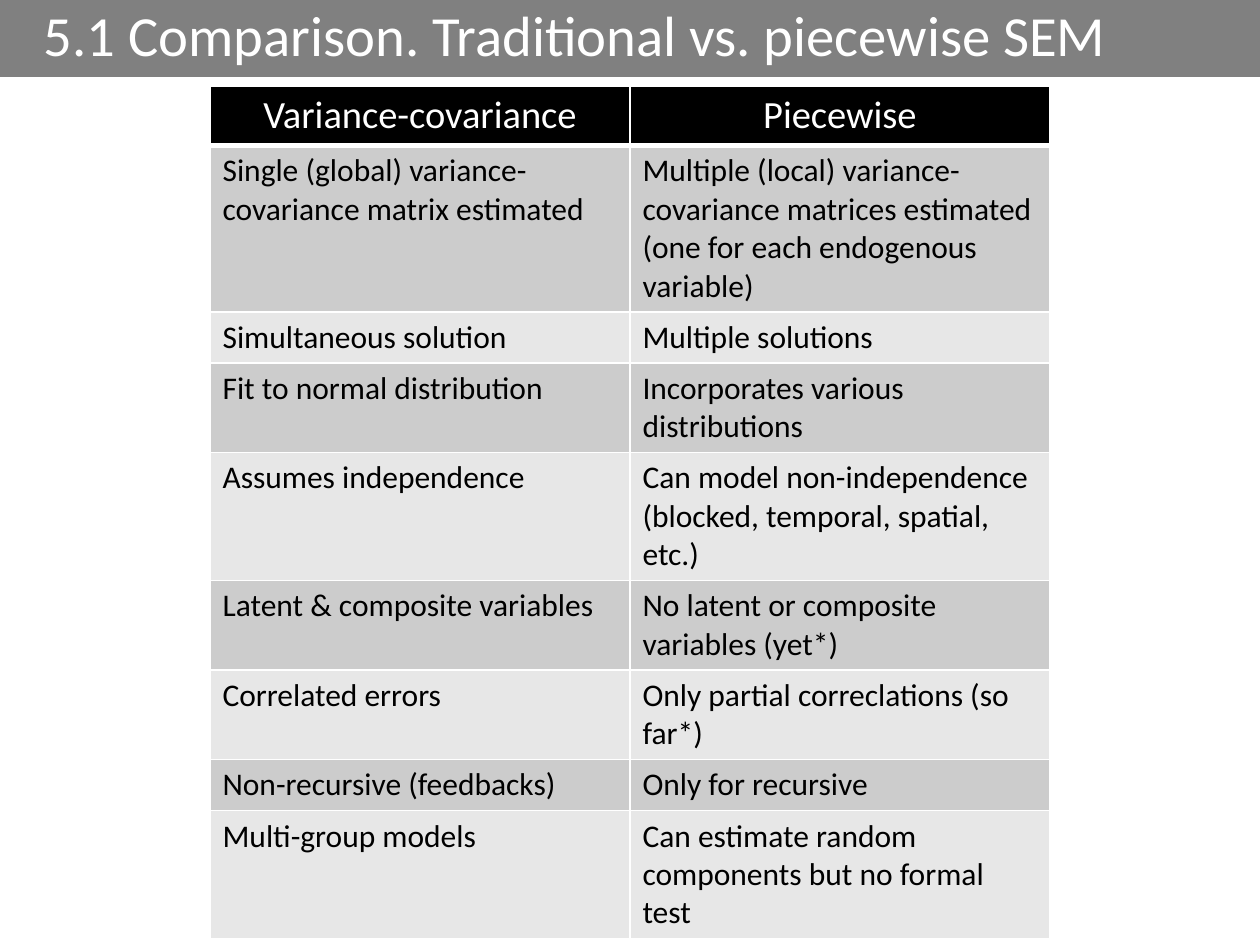
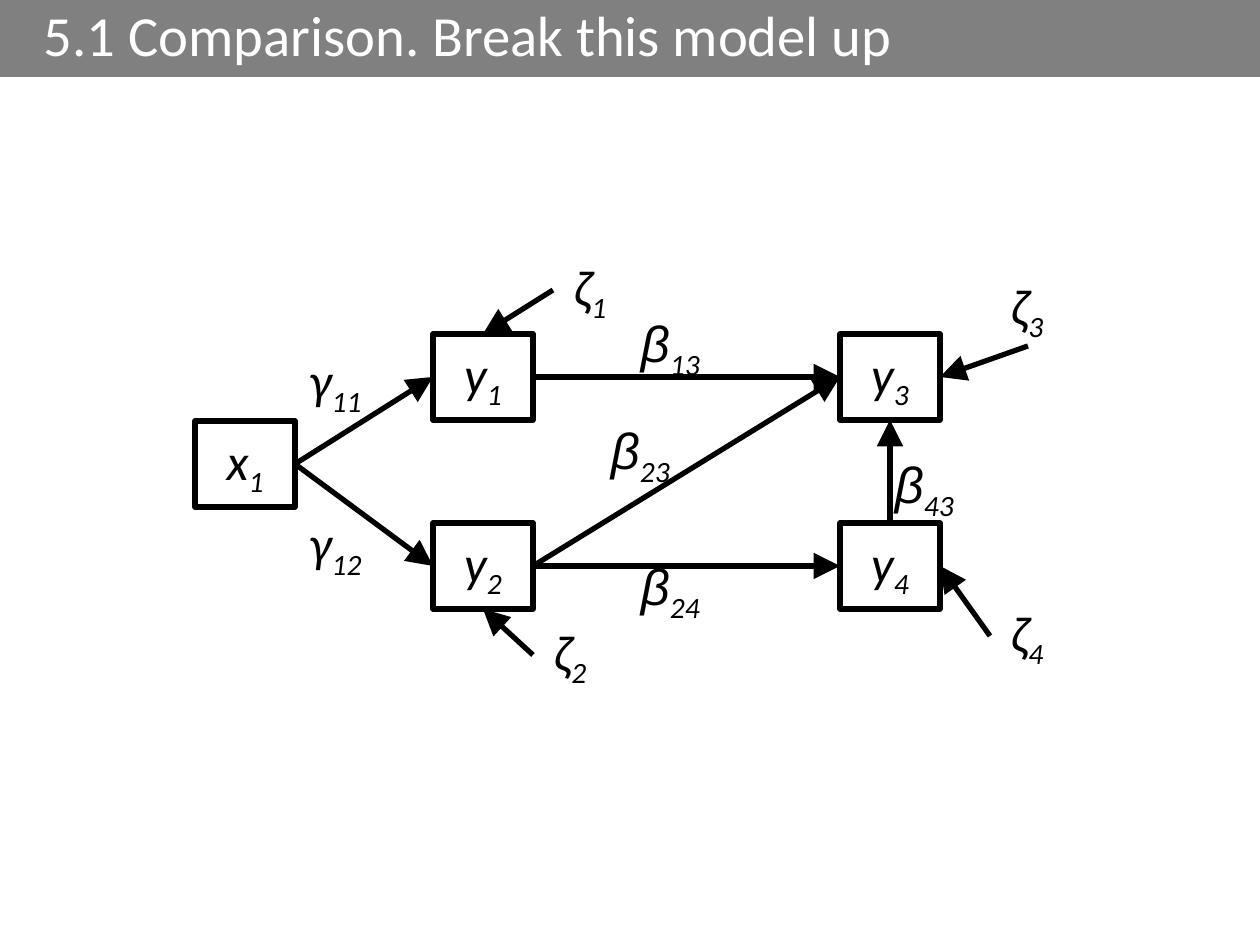
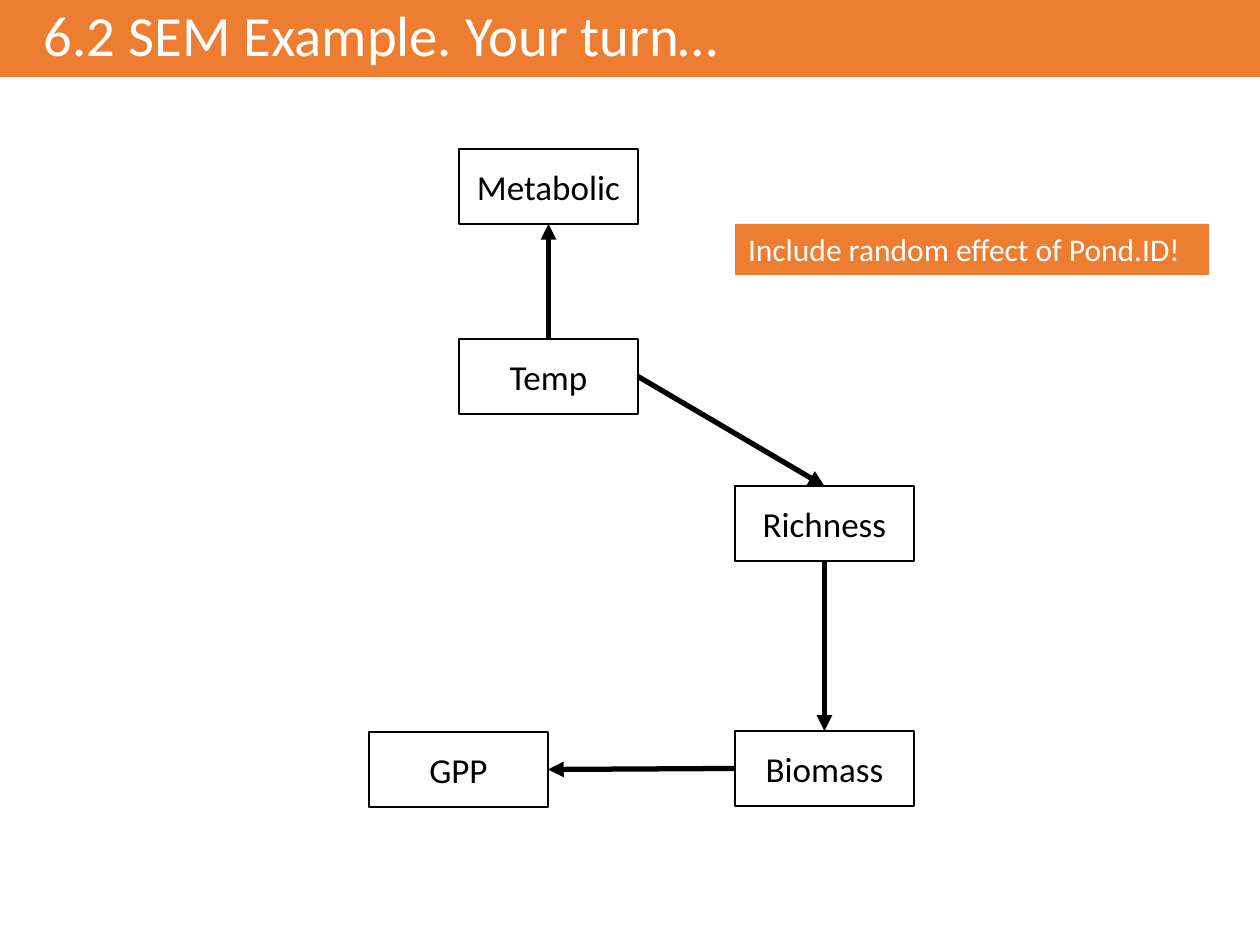
from lxml import etree
from pptx import Presentation
from pptx.dml.color import RGBColor
from pptx.enum.shapes import MSO_CONNECTOR, MSO_SHAPE
from pptx.enum.text import MSO_ANCHOR, MSO_AUTO_SIZE, PP_ALIGN
from pptx.oxml.ns import qn
from pptx.util import Emu, Pt

RECTANGLE, STRAIGHT = MSO_SHAPE.RECTANGLE, MSO_CONNECTOR.STRAIGHT
LEFT, CENTER = PP_ALIGN.LEFT, PP_ALIGN.CENTER
TOP, MIDDLE = MSO_ANCHOR.TOP, MSO_ANCHOR.MIDDLE
FIT_SHAPE = MSO_AUTO_SIZE.SHAPE_TO_FIT_TEXT
SITE_TOP, SITE_LEFT, SITE_BOTTOM, SITE_RIGHT = range(4)

EMU_PER_PX = 914400 / 126
SLIDE_W, SLIDE_H = 1260, 945
BAND_H = 77
COLORS = {
    "black": "000000",
    "white": "FFFFFF",
    "gray": "808080",
    "orange": "ED7D31",
    "dark row": "CCCCCC",
    "light row": "E7E7E7",
}
FONT, GREEK_FONT = "Calibri", "Arial"
DEFAULT_INSETS = (13, 6, 13, 6)
SYMBOL_INSETS = (14, 6, 14, 6)


def px(length):
    return Emu(round(length * EMU_PER_PX))


def rgb(color):
    return RGBColor.from_string(COLORS[color])


def set_all(target, values):
    for name, value in values.items():
        setattr(target, name, value)


class Deck:
    """Holds the shared style and the slide being built."""

    def __init__(self):
        self.presentation = Presentation()
        set_all(self.presentation, {"slide_width": px(SLIDE_W), "slide_height": px(SLIDE_H)})
        self.shapes = None

    def new_slide(self, title, color):
        blank = self.presentation.slide_layouts[6]
        self.shapes = self.presentation.slides.add_slide(blank).shapes
        band = self.box((0, 0, SLIDE_W, BAND_H), fill=color)
        self.put_text(band.text_frame, title, 32.4, "white", LEFT, insets=(44, 6, 13, 6))
        band.text_frame.paragraphs[0].line_spacing = 0.9

    def put_text(self, frame, text, size, color="black", align=CENTER, anchor=MIDDLE,
                 insets=DEFAULT_INSETS):
        self.lay_out(frame, align, anchor, insets)
        self.add_run(frame.paragraphs[0], text, size, color)

    def put_symbol(self, frame, symbol, align=CENTER, anchor=MIDDLE):
        """Put in a letter followed by its index as a subscript."""
        letter, index = symbol[0], symbol[1:]
        self.lay_out(frame, align, anchor, SYMBOL_INSETS)
        paragraph = frame.paragraphs[0]
        letter_font = GREEK_FONT if letter == "β" else FONT
        self.add_run(paragraph, letter, 29, font=letter_font, italic=True)
        subscript = self.add_run(paragraph, index, 29, italic=True)
        subscript.font._element.set("baseline", "-25000")

    def lay_out(self, frame, align, anchor, insets):
        sides = ("margin_left", "margin_top", "margin_right", "margin_bottom")
        set_all(frame, {"word_wrap": True, "vertical_anchor": anchor,
                        **dict(zip(sides, map(px, insets)))})
        frame.paragraphs[0].alignment = align

    def add_run(self, paragraph, text, size, color="black", font=FONT, italic=False):
        run = paragraph.add_run()
        run.text = text
        set_all(run.font, {"name": font, "size": Pt(size), "bold": False, "italic": italic})
        run.font.color.rgb = rgb(color)
        return run

    def box(self, place, fill=None, line_width=None):
        shape = self.shapes.add_shape(RECTANGLE, *map(px, place))
        shape.shadow.inherit = False
        if fill:
            shape.fill.solid()
            shape.fill.fore_color.rgb = rgb(fill)
        else:
            shape.fill.background()
        if line_width:
            shape.line.color.rgb = rgb("black")
            shape.line.width = Pt(line_width)
        else:
            shape.line.fill.background()
        return shape

    def symbol_box(self, symbol, left, top):
        variable = self.box((left, top, 100, 86), line_width=3)
        self.put_symbol(variable.text_frame, symbol)
        return variable

    def word_box(self, word, left, top):
        variable = self.box((left, top, 179, 75), fill="white", line_width=1)
        self.put_text(variable.text_frame, word, 20)
        return variable

    def symbol_label(self, symbol, left, top):
        is_error = symbol[0] == "ζ"
        label = self.shapes.add_textbox(*map(px, (left, top, 74 if is_error else 98, 76)))
        label.text_frame.auto_size = FIT_SHAPE
        align, anchor = (CENTER, MIDDLE) if is_error else (LEFT, TOP)
        self.put_symbol(label.text_frame, symbol, align, anchor)

    def arrow(self, start, end, head="med"):
        """Draw to end, a (shape, site) pair, from another such pair or a point in px."""
        arrow = self.shapes.add_connector(STRAIGHT, 0, 0, 0, 0)
        if isinstance(start[0], int):
            arrow.begin_x, arrow.begin_y = map(px, start)
        else:
            arrow.begin_connect(*start)
        arrow.end_connect(*end)
        arrow.line.color.rgb = rgb("black")
        arrow.line.width = Pt(3)
        etree.SubElement(arrow.line._get_or_add_ln(), qn("a:tailEnd"),
                         type="triangle", w=head, len=head)
        etree.SubElement(arrow._element.spPr, qn("a:effectLst"))

    def table(self, rows, left, top, width, row_height):
        columns = len(rows[0])
        frame = self.shapes.add_table(len(rows), columns, px(left), px(top), px(width),
                                      px(row_height * len(rows)))
        for row_index, row in enumerate(rows):
            is_header = row_index == 0
            fill = "black" if is_header else "dark row" if row_index % 2 else "light row"
            size, color, align = (22, "white", CENTER) if is_header else (18, "black", LEFT)
            for column_index, text in enumerate(row):
                cell = frame.table.cell(row_index, column_index)
                self.cell_borders(cell, bottom_width=3 if is_header else 1)
                cell.fill.solid()
                cell.fill.fore_color.rgb = rgb(fill)
                paragraph = cell.text_frame.paragraphs[0]
                paragraph.alignment = align
                self.add_run(paragraph, text, size, color)

    def cell_borders(self, cell, bottom_width):
        properties = cell._tc.get_or_add_tcPr()
        for side, width in zip("LRTB", (1, 1, 1, bottom_width)):
            border = etree.SubElement(properties, qn(f"a:ln{side}"), w=str(Pt(width)))
            fill = etree.SubElement(border, qn("a:solidFill"))
            etree.SubElement(fill, qn("a:srgbClr"), val=COLORS["white"])


def comparison_slide(deck):
    deck.new_slide("5.1 Comparison. Traditional vs. piecewise SEM", "gray")
    deck.table([
        ("Variance-covariance", "Piecewise"),
        ("Single (global) variance-covariance matrix estimated",
         "Multiple (local) variance-covariance matrices estimated "
         "(one for each endogenous variable)"),
        ("Simultaneous solution", "Multiple solutions"),
        ("Fit to normal distribution", "Incorporates various distributions"),
        ("Assumes independence",
         "Can model non-independence (blocked, temporal, spatial, etc.)"),
        ("Latent & composite variables", "No latent or composite variables (yet*)"),
        ("Correlated errors", "Only partial correclations (so far*)"),
        ("Non-recursive (feedbacks)", "Only for recursive"),
        ("Multi-group models", "Can estimate random components but no formal test"),
    ], left=210, top=86, width=840, row_height=51)


def path_model_slide(deck):
    deck.new_slide("5.1 Comparison. Break this model up", "gray")
    positions = {"x1": (195, 421), "y1": (433, 334), "y2": (433, 523),
                 "y3": (840, 334), "y4": (840, 523)}
    variables = {name: deck.symbol_box(name, *place) for name, place in positions.items()}

    paths = [
        ("x1", SITE_RIGHT, "y1", SITE_LEFT),
        ("x1", SITE_RIGHT, "y2", SITE_LEFT),
        ("y1", SITE_RIGHT, "y3", SITE_LEFT),
        ("y2", SITE_RIGHT, "y3", SITE_LEFT),
        ("y2", SITE_RIGHT, "y4", SITE_LEFT),
        ("y4", SITE_TOP, "y3", SITE_BOTTOM),
    ]
    for cause, cause_site, effect, effect_site in paths:
        deck.arrow((variables[cause], cause_site), (variables[effect], effect_site), "lg")

    errors = [
        ((553, 290), "y1", SITE_TOP),
        ((533, 655), "y2", SITE_BOTTOM),
        ((1028, 346), "y3", SITE_RIGHT),
        ((990, 636), "y4", SITE_RIGHT),
    ]
    for source, effect, site in errors:
        deck.arrow(source, (variables[effect], site), "lg")

    labels = {
        "γ11": (295, 343), "γ12": (295, 506),
        "β13": (627, 306), "β23": (597, 413), "β24": (627, 549), "β43": (881, 447),
        "ζ1": (553, 252), "ζ2": (533, 617), "ζ3": (990, 271), "ζ4": (990, 598),
    }
    for symbol, place in labels.items():
        deck.symbol_label(symbol, *place)


def exercise_slide(deck):
    deck.new_slide("6.2 SEM Example. Your turn…", "orange")
    positions = {"Metabolic": (459, 149), "Temp": (459, 339), "Richness": (735, 486),
                 "Biomass": (735, 731), "GPP": (369, 732)}
    variables = {word: deck.word_box(word, *place) for word, place in positions.items()}
    paths = [
        ("Temp", SITE_TOP, "Metabolic", SITE_BOTTOM),
        ("Temp", SITE_RIGHT, "Richness", SITE_TOP),
        ("Richness", SITE_BOTTOM, "Biomass", SITE_TOP),
        ("Biomass", SITE_LEFT, "GPP", SITE_RIGHT),
    ]
    for cause, cause_site, effect, effect_site in paths:
        deck.arrow((variables[cause], cause_site), (variables[effect], effect_site))

    hint = deck.box((735, 224, 474, 51), fill="orange")
    deck.put_text(hint.text_frame, "Include random effect of Pond.ID!", 18, "white", LEFT, TOP)


def main():
    deck = Deck()
    comparison_slide(deck)
    path_model_slide(deck)
    exercise_slide(deck)
    deck.presentation.save("out.pptx")


if __name__ == "__main__":
    main()
